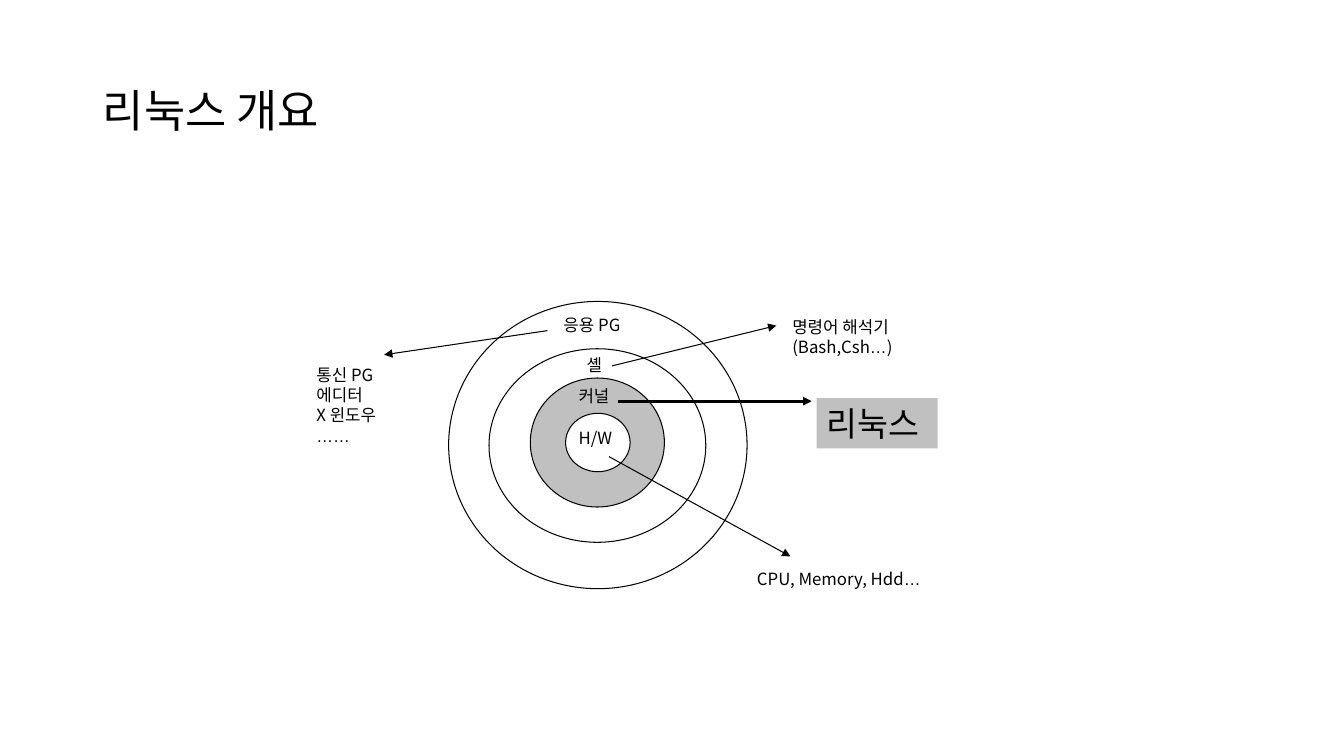
from itertools import groupby

from lxml.etree import SubElement
from pptx import Presentation
from pptx.dml.color import RGBColor
from pptx.enum.shapes import MSO_CONNECTOR, MSO_SHAPE
from pptx.enum.text import MSO_ANCHOR, MSO_AUTO_SIZE, PP_ALIGN
from pptx.oxml.ns import qn
from pptx.util import Inches, Pt

BLACK = RGBColor(0x00, 0x00, 0x00)
WHITE = RGBColor(0xFF, 0xFF, 0xFF)
GRAY = RGBColor(0xC0, 0xC0, 0xC0)
KOREAN_FONT = "Noto Sans CJK KR"
ELLIPSIS_FONT = "Arial"
ELLIPSIS = "…"

RINGS = [
    (4.45, 2.99, 2.96, 2.85, None),
    (4.85, 3.46, 2.15, 1.92, None),
    (5.26, 3.75, 1.33, 1.28, GRAY),
    (5.61, 4.1, 0.64, 0.58, WHITE),
]
LABELS = [
    (5.49, 3.07, 0.82, 0.3, ["응용 PG"]),
    (5.72, 3.47, 0.37, 0.3, ["셸"]),
    (5.64, 3.78, 0.53, 0.3, ["커널"]),
    (5.64, 4.19, 0.54, 0.3, ["H/W"]),
    (3.04, 3.57, 0.87, 0.91, ["통신 PG", "에디터", "X 윈도우", "……"]),
    (7.76, 3.09, 1.39, 0.5, ["명령어 해석기", "(Bash,Csh…)"]),
    (7.41, 5.59, 1.87, 0.3, ["CPU, Memory, Hdd…"]),
]
ARROWS = [
    (5.43, 3.28, 3.81, 3.52, 0.75),
    (6.07, 3.63, 7.7, 3.23, 0.75),
    (6.04, 4.53, 7.84, 5.52, 0.75),
    (6.13, 3.98, 8.05, 3.98, 2),
]


def format_paragraph(paragraph, size):
    paragraph.alignment = PP_ALIGN.LEFT
    font = paragraph.font
    font.size = Pt(size)
    font.name = KOREAN_FONT
    font.color.rgb = BLACK
    properties = paragraph._p.pPr.find(qn("a:defRPr"))
    SubElement(properties, qn("a:ea")).set("typeface", KOREAN_FONT)


def add_runs(paragraph, text):
    for is_ellipsis, characters in groupby(text, lambda character: character == ELLIPSIS):
        run = paragraph.add_run()
        run.text = "".join(characters)
        if is_ellipsis:
            run.font.name = ELLIPSIS_FONT
            SubElement(run._r.rPr, qn("a:ea")).set("typeface", ELLIPSIS_FONT)


def fill_text(text_frame, lines, size):
    text_frame.word_wrap = False
    text_frame.auto_size = MSO_AUTO_SIZE.SHAPE_TO_FIT_TEXT
    text_frame.vertical_anchor = MSO_ANCHOR.TOP
    for index, line in enumerate(lines):
        paragraph = text_frame.add_paragraph() if index else text_frame.paragraphs[0]
        format_paragraph(paragraph, size)
        add_runs(paragraph, line)


def set_title(slide, text):
    title = slide.shapes.title
    title.left, title.top = Inches(0.92), Inches(0.4)
    title.width, title.height = Inches(11.5), Inches(1.45)
    title.text_frame.text = text
    title.text_frame.vertical_anchor = MSO_ANCHOR.MIDDLE
    paragraph = title.text_frame.paragraphs[0]
    paragraph.line_spacing = 0.9
    format_paragraph(paragraph, 32)


def add_ring(slide, left, top, width, height, color):
    ring = slide.shapes.add_shape(
        MSO_SHAPE.OVAL, Inches(left), Inches(top), Inches(width), Inches(height)
    )
    ring.shadow.inherit = False
    if color is None:
        ring.fill.background()
    else:
        ring.fill.solid()
        ring.fill.fore_color.rgb = color
    ring.line.color.rgb = BLACK
    ring.line.width = Pt(0.75)


def add_label(slide, left, top, width, height, lines):
    label = slide.shapes.add_textbox(
        Inches(left), Inches(top), Inches(width), Inches(height)
    )
    fill_text(label.text_frame, lines, 12)


def add_linux_box(slide):
    box = slide.shapes.add_shape(
        MSO_SHAPE.RECTANGLE, Inches(8.1), Inches(3.95), Inches(1.2), Inches(0.5)
    )
    box.shadow.inherit = False
    box.fill.solid()
    box.fill.fore_color.rgb = GRAY
    box.line.fill.background()
    fill_text(box.text_frame, ["리눅스"], 24)


def add_arrow(slide, start_x, start_y, end_x, end_y, width):
    arrow = slide.shapes.add_connector(
        MSO_CONNECTOR.STRAIGHT,
        Inches(start_x), Inches(start_y), Inches(end_x), Inches(end_y),
    )
    arrow.line.color.rgb = BLACK
    arrow.line.width = Pt(width)
    SubElement(arrow.line._get_or_add_ln(), qn("a:tailEnd")).set("type", "triangle")
    SubElement(arrow._element.spPr, qn("a:effectLst"))


def main():
    presentation = Presentation()
    presentation.slide_width = Inches(13.33)
    presentation.slide_height = Inches(7.5)
    slide = presentation.slides.add_slide(presentation.slide_layouts.get_by_name("Title Only"))
    set_title(slide, "리눅스 개요")
    for ring in RINGS:
        add_ring(slide, *ring)
    for label in LABELS:
        add_label(slide, *label)
    add_linux_box(slide)
    for arrow in ARROWS:
        add_arrow(slide, *arrow)
    presentation.save("out.pptx")


if __name__ == "__main__":
    main()
